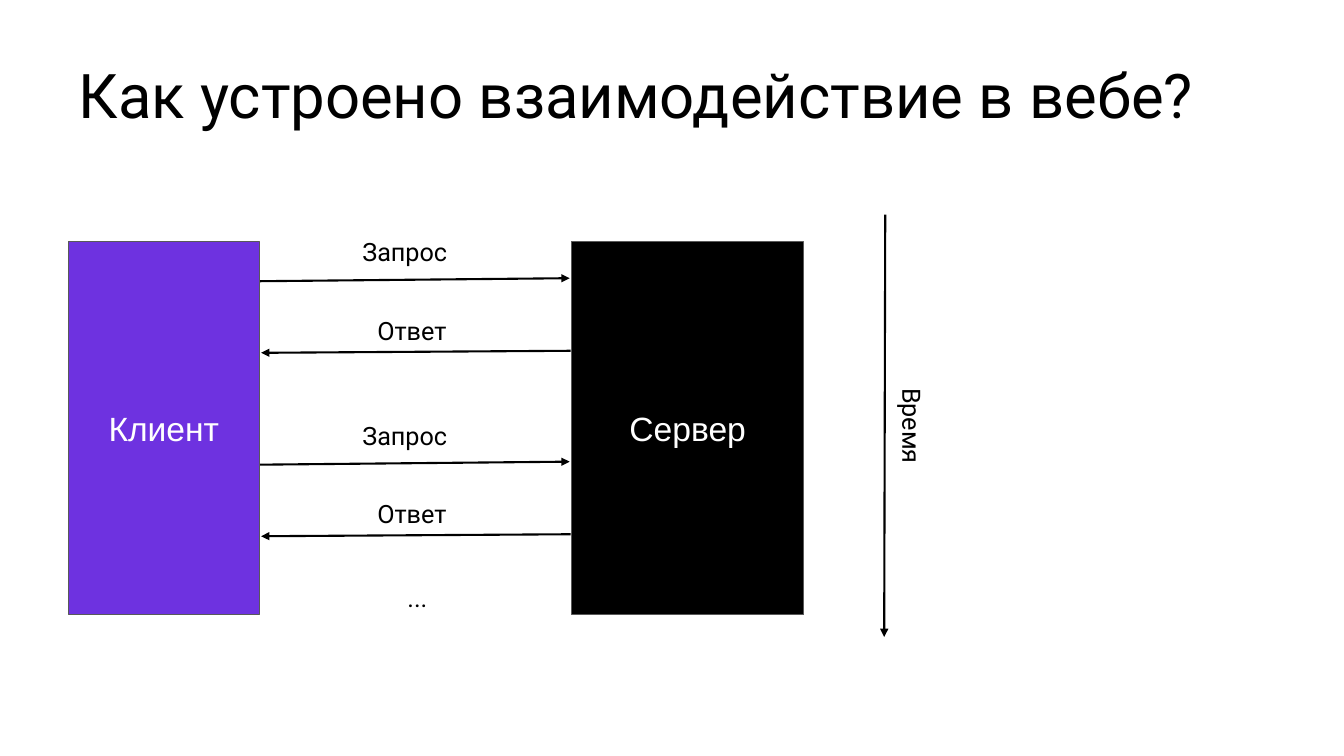
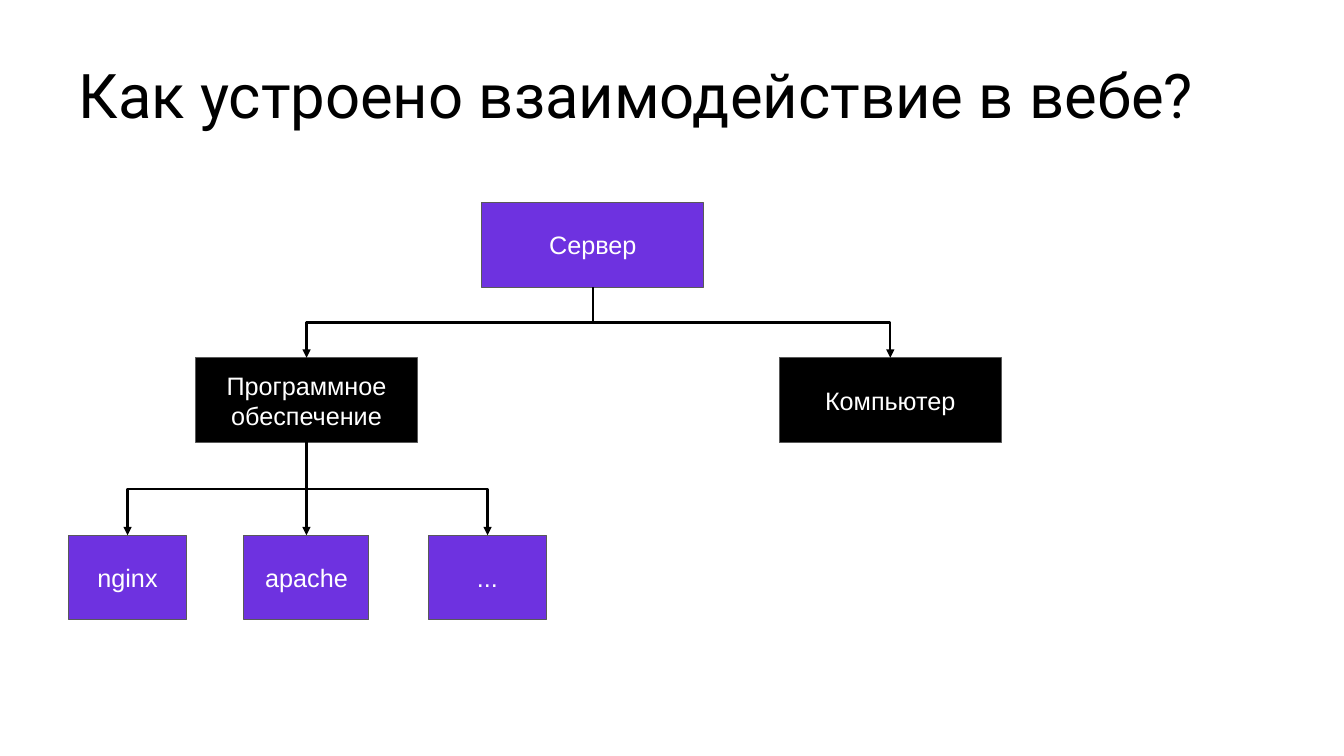
from lxml import etree
from pptx import Presentation
from pptx.dml.color import RGBColor
from pptx.enum.shapes import MSO_CONNECTOR, MSO_SHAPE
from pptx.enum.text import MSO_ANCHOR, PP_ALIGN
from pptx.oxml.ns import qn
from pptx.util import Inches, Pt

STRAIGHT, ELBOW = MSO_CONNECTOR.STRAIGHT, MSO_CONNECTOR.ELBOW
RECTANGLE = MSO_SHAPE.RECTANGLE
MIDDLE, BOTTOM = MSO_ANCHOR.MIDDLE, MSO_ANCHOR.BOTTOM
LEFT, CENTER = PP_ALIGN.LEFT, PP_ALIGN.CENTER

COLORS = {"ink": "000000", "paper": "FFFFFF", "accent": "6E32E0", "outline": "595959"}
TEXT_FONT, BLOCK_FONT = "Roboto", "Arial"
TITLE = "Как устроено взаимодействие в вебе?"
TITLE_BOX = (0.68, 0.5, 11.82, 0.86)
BOTTOM_SITE, TOP_SITE = 2, 0


def color(name):
    """Return the palette colour called name."""
    return RGBColor.from_string(COLORS[name])


def write(shape, text, size, font, ink, align=CENTER, anchor=MIDDLE, pad=0.1):
    """Set and format the single paragraph of a shape."""
    frame = shape.text_frame
    frame.word_wrap = True
    frame.vertical_anchor = anchor
    frame.margin_left = frame.margin_right = Inches(0.1)
    frame.margin_top = frame.margin_bottom = Inches(pad)
    paragraph = frame.paragraphs[0]
    paragraph.text = text
    paragraph.alignment = align
    for run in paragraph.runs:
        run.font.size = Pt(size)
        run.font.name = font
        run.font.color.rgb = color(ink)
    return paragraph


def add_label(slide, text, box, rotation=0):
    """Add a centred caption."""
    label = slide.shapes.add_textbox(*map(Inches, box))
    label.rotation = rotation
    write(label, text, 18, TEXT_FONT, "ink")


def add_block(slide, text, box, fill, size=18):
    """Add a filled rectangle with white text."""
    block = slide.shapes.add_shape(RECTANGLE, *map(Inches, box))
    block.shadow.inherit = False
    block.fill.solid()
    block.fill.fore_color.rgb = color(fill)
    block.line.color.rgb = color("outline")
    block.line.width = Pt(0.75)
    write(block, text, size, BLOCK_FONT, "paper")
    return block


def add_arrow(slide, start, end, kind=STRAIGHT):
    """Add a black connector with an arrowhead at its end."""
    arrow = slide.shapes.add_connector(kind, *map(Inches, (*start, *end)))
    arrow.line.color.rgb = color("ink")
    arrow.line.width = Pt(1.5)
    etree.SubElement(arrow.line._get_or_add_ln(), qn("a:tailEnd"), type="triangle")
    etree.SubElement(arrow._element.spPr, qn("a:effectLst"))
    return arrow


def link_down(slide, parent, child):
    """Join the bottom of parent to the top of child, bending halfway."""
    start_x, start_y = parent.left + parent.width // 2, parent.top + parent.height
    end_x, end_y = child.left + child.width // 2, child.top
    shift, drop = end_x - start_x, end_y - start_y
    straight = abs(shift) < Inches(0.02)
    arrow = add_arrow(slide, (0, 0), (1, 1), STRAIGHT if straight else ELBOW)
    arrow.begin_connect(parent, BOTTOM_SITE)
    arrow.end_connect(child, TOP_SITE)
    if straight:
        return
    arrow.width, arrow.height = drop, abs(shift)
    arrow.left = (start_x + end_x - drop) // 2
    arrow.top = (start_y + end_y - abs(shift)) // 2
    frame = arrow._element.spPr.find(qn("a:xfrm"))
    frame.set("rot", str((90 if shift < 0 else 270) * 60000))
    frame.set("flipH", "0" if shift < 0 else "1")
    frame.set("flipV", "0")


def add_titled_slide(deck):
    """Add a blank slide with the shared title."""
    slide = deck.slides.add_slide(deck.slide_layouts[6])
    title = slide.shapes.add_textbox(*map(Inches, TITLE_BOX))
    paragraph = write(title, TITLE, 44, TEXT_FONT, "ink", LEFT, BOTTOM, 0.05)
    paragraph.line_spacing = 0.9
    return slide


def draw_exchange(slide, left, top, width, height):
    """Draw client and server with two rounds of request and response."""
    client_width, server_width = 1.89, 2.3
    client_edge = left + client_width
    server_edge = left + width - server_width
    add_block(slide, "Сервер", (server_edge, top, server_width, height), "ink", 24)
    add_block(slide, "Клиент", (left, top, client_width, height), "accent", 24)
    for round_top in (top, top + 1.82):
        client_y, server_y = round_top + 0.39, round_top + 0.36
        add_arrow(slide, (client_edge + 0.01, client_y), (server_edge - 0.02, server_y))
        add_label(slide, "Запрос", (client_edge + 0.64, round_top - 0.11, 1.61, 0.41))
        client_y, server_y = round_top + 1.1, round_top + 1.08
        add_arrow(slide, (server_edge - 0.01, server_y), (client_edge + 0.02, client_y))
        add_label(slide, "Ответ", (client_edge + 0.71, round_top + 0.67, 1.61, 0.41))
    add_label(slide, "...", (client_edge + 0.54, top + 3.11, 2.06, 0.83))


def draw_time_axis(slide, left, top, height):
    """Draw the downward time arrow with its rotated caption."""
    label_width, label_height = 1.61, 0.91
    add_arrow(slide, (left, top), (left - 0.01, top + height))
    label_left = left + 0.27 - label_width / 2
    add_label(slide, "Время", (label_left, top + 1.64, label_width, label_height), 90)


def draw_server_tree(slide, left, top):
    """Draw what a server consists of, as a three-level tree."""
    wide, tall = 2.2, 0.84
    second_row, third_row = top + 1.54, top + 3.3

    def node(text, offset, row, width, fill):
        """Add one tree node at an offset from the left edge."""
        return add_block(slide, text, (left + offset, row, width, tall), fill)

    server = node("Сервер", 4.1, top, wide, "accent")
    software = node("Программное обеспечение", 1.26, second_row, wide, "ink")
    computer = node("Компьютер", 7.05, second_row, wide, "ink")
    programs = [
        node(text, offset, third_row, width, "accent")
        for text, offset, width in (
            ("nginx", 0, 1.17), ("apache", 1.74, 1.24), ("...", 3.57, 1.17))
    ]
    for parent, children in ((server, (software, computer)), (software, programs)):
        for child in children:
            link_down(slide, parent, child)


def main():
    """Build and save the deck."""
    deck = Presentation()
    deck.slide_width, deck.slide_height = Inches(13.33), Inches(7.5)
    exchange = add_titled_slide(deck)
    draw_exchange(exchange, 0.68, 2.4, 7.29, 3.7)
    draw_time_axis(exchange, 8.78, 2.13, 4.19)
    draw_server_tree(add_titled_slide(deck), 0.68, 2.01)
    deck.save("out.pptx")


if __name__ == "__main__":
    main()
